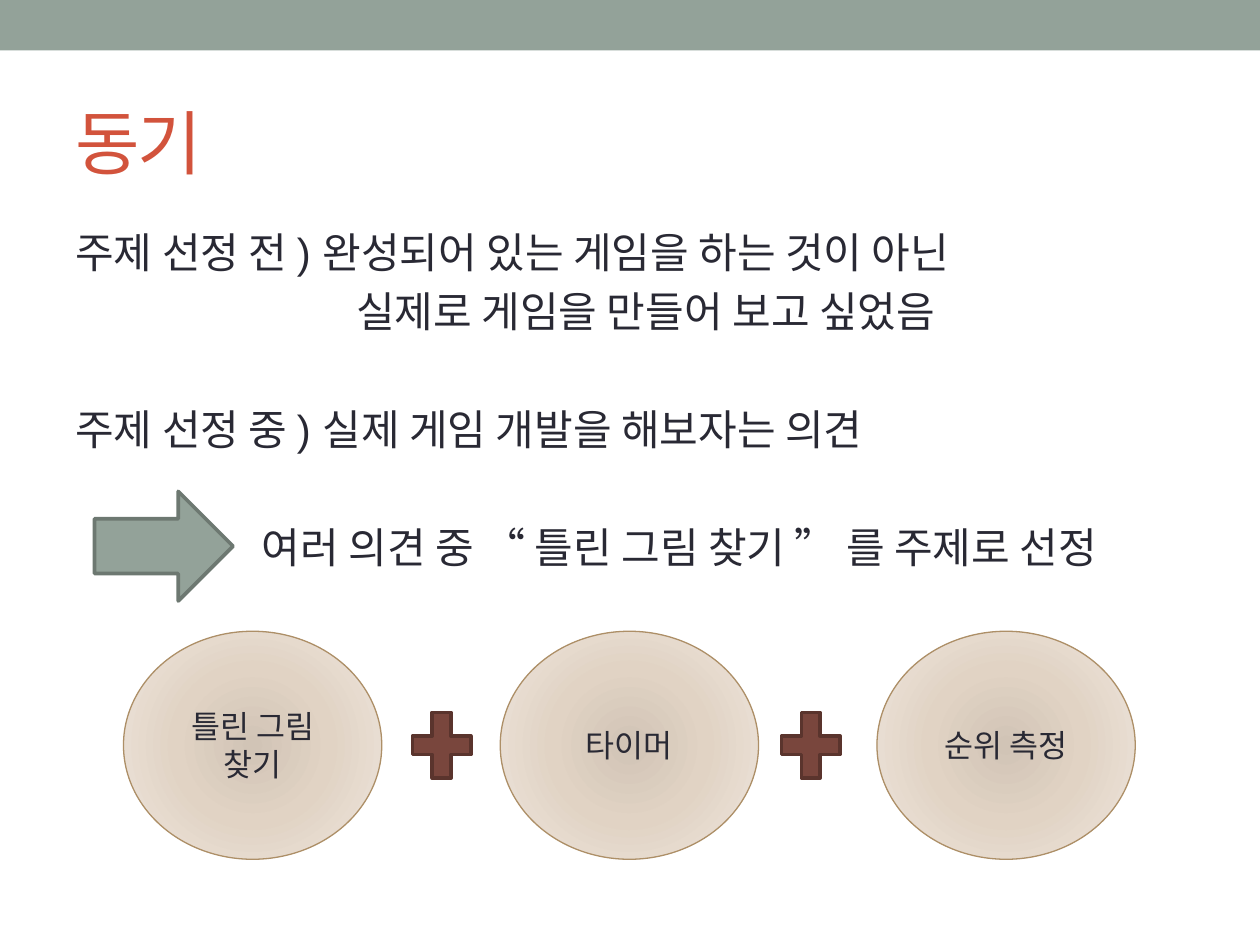
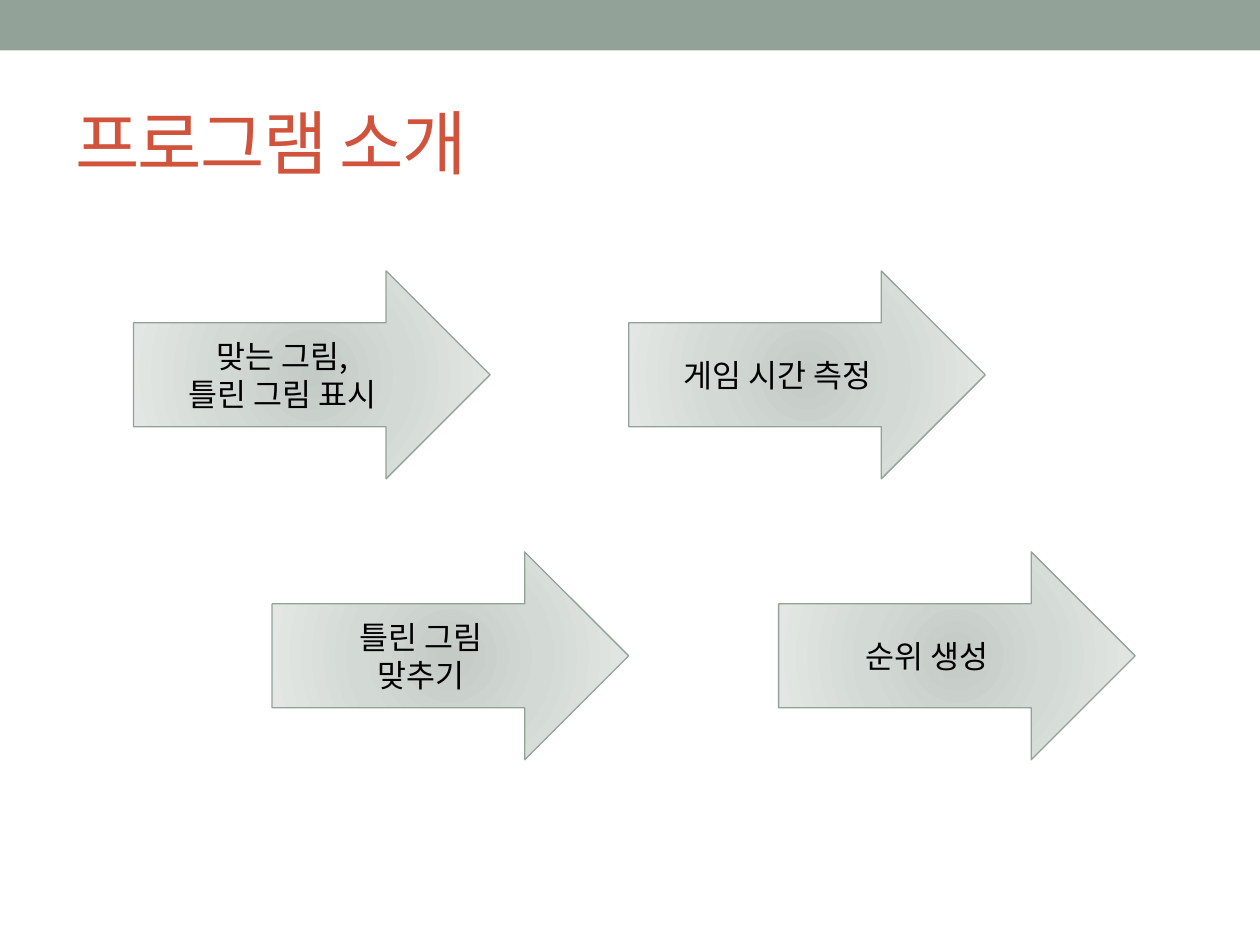
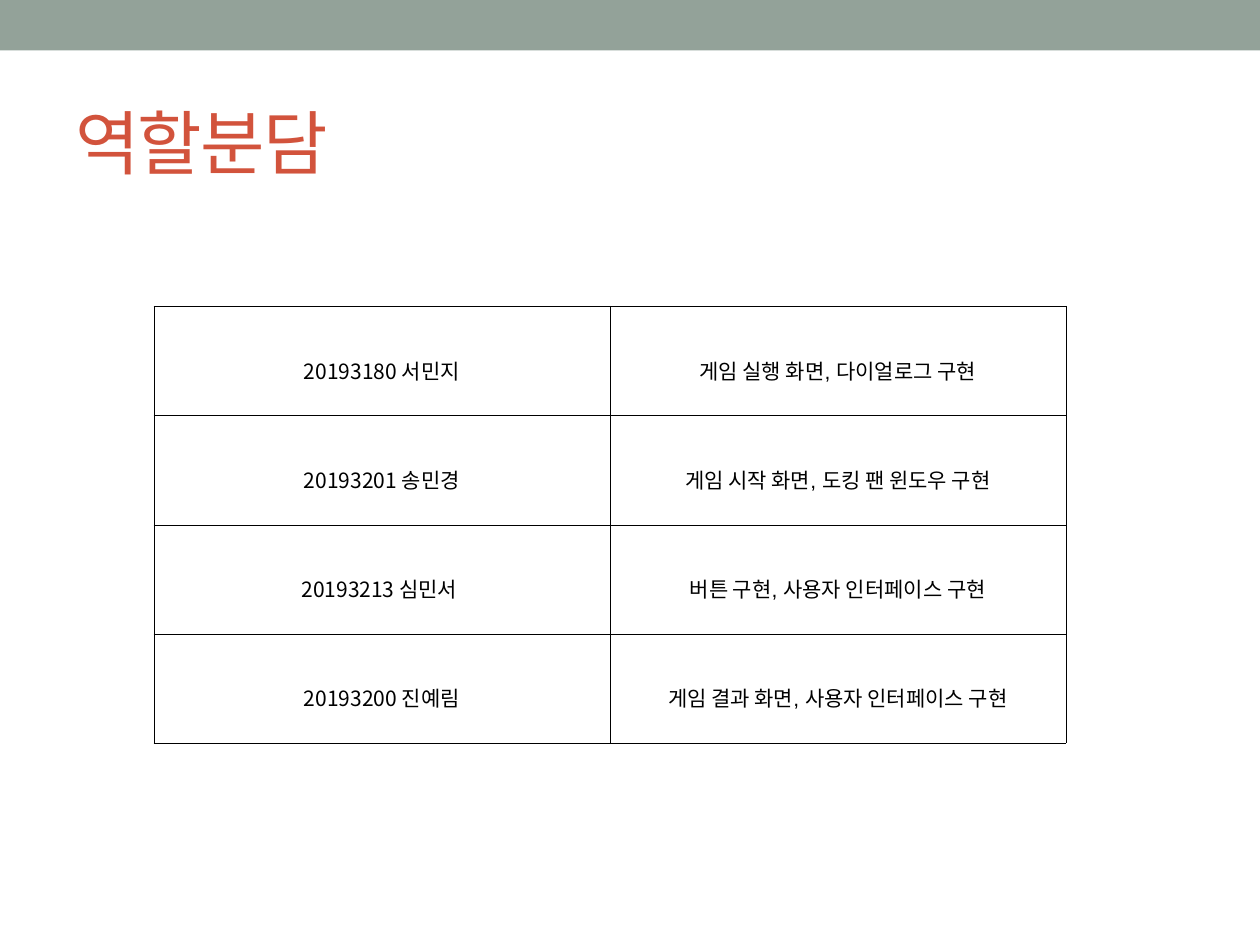
from lxml import etree
from pptx import Presentation
from pptx import util as u
from pptx.dml.color import RGBColor
from pptx.enum import shapes, text
from pptx.oxml import ns

# Content: body lines are (text, left indent in inches, starts a new block)
MOTIVE = "동기"
MOTIVE_LINES = [
    ("주제 선정 전 ) 완성되어 있는 게임을 하는 것이 아닌", 0, False),
    ("실제로 게임을 만들어 보고 싶었음", 2.23, False),
    ("주제 선정 중 ) 실제 게임 개발을 해보자는 의견", 0, True),
    ("여러 의견 중 “ 틀린 그림 찾기 ” 를 주제로 선정", 1.48, True),
]
FEATURES = ["틀린 그림 찾기", "타이머", "순위 측정"]

INTRO = "프로그램 소개"
STEP_ROWS = [  # top, then (left, lines) of each arrow
    (2.15, [(1.06, ["맞는 그림, ", "틀린 그림 표시 "]), (4.99, ["게임 시간 측정 "])]),
    (4.38, [(2.16, ["틀린 그림 ", "맞추기 "]), (6.18, ["순위 생성 "])]),
]

ROLES = "역할분담"
ROLE_ROWS = [
    ("20193180 ", "서민지", "게임 실행 화면, 다이얼로그 구현"),
    ("20193201 ", "송민경", "게임 시작 화면, 도킹 팬 윈도우 구현"),
    ("20193213 ", "심민서 ", "버튼 구현, 사용자 인터페이스 구현"),
    ("20193200 ", "진예림", "게임 결과 화면, 사용자 인터페이스 구현"),
]

# Shared style
WIDTH, HEIGHT = 10, 7.5
LATIN, HANGUL = "Arial", "Noto Sans CJK KR"
SAGE = RGBColor(0x93, 0xA2, 0x99)
SAGE_EDGE = RGBColor(0x6D, 0x78, 0x71)
RED = RGBColor(0xD2, 0x53, 0x3C)
INK = RGBColor(0x29, 0x29, 0x34)
BLACK = RGBColor(0, 0, 0)
TAN = RGBColor(0xAD, 0x8F, 0x67)
BROWN = RGBColor(0x79, 0x46, 0x3D)
BROWN_EDGE = RGBColor(0x5A, 0x34, 0x2D)
TAN_GLOW = [(0, "D1C4B6"), (45, "E1D3C4"), (100, "EFE7DF")]
SAGE_GLOW = [(0, "C4CAC6"), (45, "D3DAD6"), (100, "E7EAE8")]
CENTER = {"alignment": text.PP_ALIGN.CENTER}
LINE_HEIGHT, PARA_GAP = 28.9, 4.8


def inches(*lengths):
    return [u.Inches(length) for length in lengths]


def add_xml(parent, tag, **attributes):
    return etree.SubElement(parent, ns.qn(tag), attributes)


def apply(target, formats):
    for name, value in formats.items():
        setattr(target, name, value)


def add_span(para, words, size, color, font=LATIN):
    span = para.add_run()
    span.text = words
    apply(span.font, {"size": u.Pt(size), "name": font})
    span.font.color.rgb = color
    add_xml(span.font._element, "a:ea", typeface=HANGUL)
    return span


def write_lines(frame, lines, size, color, font=LATIN, **formats):
    for index, words in enumerate(lines):
        para = frame.add_paragraph() if index else frame.paragraphs[0]
        apply(para, formats)
        add_span(para, words, size, color, font)


def glow_fill(shape, stops):
    shape.fill.gradient()
    gradient = shape._element.spPr.find(ns.qn("a:gradFill"))
    for child in list(gradient):
        gradient.remove(child)
    stop_list = add_xml(gradient, "a:gsLst")
    for position, color in stops:
        stop = add_xml(stop_list, "a:gs", pos=str(position * 1000))
        add_xml(stop, "a:srgbClr", val=color)
    circle = add_xml(gradient, "a:path", path="circle")
    add_xml(circle, "a:fillToRect", **dict.fromkeys("ltrb", "100000"))


def draw_shape(page, kind, place, fill, edge=None, weight=0.75):
    shape = page.shapes.add_shape(kind, *inches(*place))
    shape.shadow.inherit = False
    if isinstance(fill, list):
        glow_fill(shape, fill)
    else:
        shape.fill.solid()
        shape.fill.fore_color.rgb = fill
    if edge is None:
        shape.line.fill.background()
    else:
        shape.line.color.rgb = edge
        shape.line.width = u.Pt(weight)
    apply(shape.text_frame, {"word_wrap": True, "vertical_anchor": text.MSO_ANCHOR.MIDDLE})
    return shape


def add_text_box(page, place, anchor):
    frame = page.shapes.add_textbox(*inches(*place)).text_frame
    apply(frame, {"word_wrap": True, "vertical_anchor": anchor})
    return frame


def add_page(deck, title):
    page = deck.slides.add_slide(deck.slide_layouts[6])
    draw_shape(page, shapes.MSO_SHAPE.RECTANGLE, (0, 0, WIDTH, 0.4), SAGE)
    frame = add_text_box(page, (0.5, 0.58, 9, 1.08), text.MSO_ANCHOR.MIDDLE)
    span = add_span(frame.paragraphs[0], title, 40, RED)
    span.font._element.set("spc", "-100")
    return page


def add_motive(deck):
    page = add_page(deck, MOTIVE)
    frame = add_text_box(page, (0.5, 1.75, 9, 3.1), text.MSO_ANCHOR.TOP)
    write_lines(frame, [line[0] for line in MOTIVE_LINES], 24, INK,
                line_spacing=u.Pt(LINE_HEIGHT), space_before=u.Pt(PARA_GAP))
    for para, (_, indent, new_block) in zip(frame.paragraphs, MOTIVE_LINES):
        para._p.get_or_add_pPr().set("marL", str(u.Inches(indent)))
        if new_block:
            para.space_before = u.Pt(LINE_HEIGHT + 2 * PARA_GAP)
    draw_shape(page, shapes.MSO_SHAPE.RIGHT_ARROW, (0.75, 3.9, 1.1, 0.87), SAGE, SAGE_EDGE, 2.08)

    # Features joined by plus signs
    for column, feature in enumerate(FEATURES):
        circle = draw_shape(page, shapes.MSO_SHAPE.OVAL,
                            (0.98 + 2.99 * column, 5.01, 2.05, 1.81), TAN_GLOW, TAN)
        write_lines(circle.text_frame, [feature], 18, INK, **CENTER)
    for column in range(len(FEATURES) - 1):
        draw_shape(page, shapes.MSO_SHAPE.MATH_PLUS,
                   (3.19 + 2.93 * column, 5.56, 0.63, 0.71), BROWN, BROWN_EDGE, 2.08)


def add_intro(deck):
    page = add_page(deck, INTRO)
    for top, steps in STEP_ROWS:
        for left, lines in steps:
            arrow = draw_shape(page, shapes.MSO_SHAPE.RIGHT_ARROW,
                               (left, top, 2.83, 1.65), SAGE_GLOW, SAGE)
            write_lines(arrow.text_frame, lines, 18, BLACK, HANGUL, **CENTER)


def style_cell(cell):
    margins = {"margin_left": 0.07, "margin_right": 0.07, "margin_top": 0.02, "margin_bottom": 0.02}
    apply(cell, {name: u.Inches(size) for name, size in margins.items()})
    cell.vertical_anchor = text.MSO_ANCHOR.MIDDLE
    properties = cell._tc.get_or_add_tcPr()
    for side in ("a:lnL", "a:lnR", "a:lnT", "a:lnB"):
        border = add_xml(properties, side, w=str(u.Pt(0.28)))
        add_xml(add_xml(border, "a:solidFill"), "a:srgbClr", val=str(BLACK))
    cell.fill.background()
    para = cell.text_frame.paragraphs[0]
    apply(para, {**CENTER, "line_spacing": 1.6})
    return para


def add_roles(deck):
    page = add_page(deck, ROLES)
    frame = page.shapes.add_table(len(ROLE_ROWS), 2, *inches(1.22, 2.43, 7.24, 3.47))
    table = frame.table
    apply(table, {"first_row": False, "horz_banding": False})
    for row, (number, person, role) in enumerate(ROLE_ROWS):
        para = style_cell(table.cell(row, 0))
        add_span(para, number, 12, BLACK, HANGUL)
        add_span(para, person, 12, BLACK)
        add_span(style_cell(table.cell(row, 1)), role, 12, BLACK)


def main():
    deck = Presentation()
    apply(deck, {"slide_width": u.Inches(WIDTH), "slide_height": u.Inches(HEIGHT)})
    for build in (add_motive, add_intro, add_roles):
        build(deck)
    deck.save("out.pptx")


if __name__ == "__main__":
    main()
